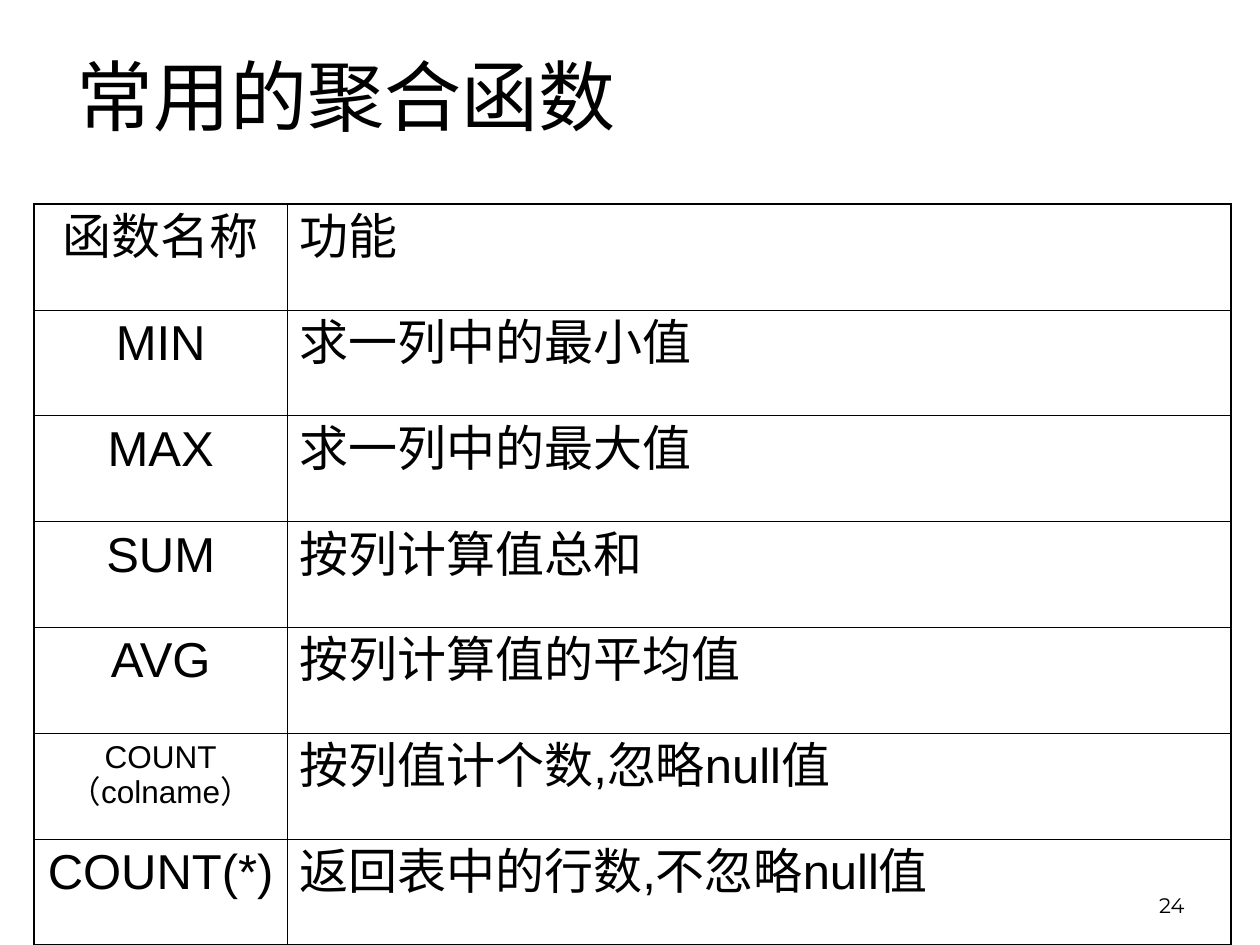
from lxml import etree
from pptx import Presentation
from pptx.dml.color import RGBColor
from pptx.enum import text
from pptx.oxml import ns
from pptx.util import Inches, Pt

BLACK = RGBColor(0x00, 0x00, 0x00)
WHITE = RGBColor(0xFF, 0xFF, 0xFF)
OUTER, INNER = 1.08, 0.45  # border widths in points

FUNCTIONS = [
    ("函数名称", "功能"),
    ("MIN", "求一列中的最小值"),
    ("MAX", "求一列中的最大值"),
    ("SUM", "按列计算值总和"),
    ("AVG", "按列计算值的平均值"),
    ("COUNT（colname）", "按列值计个数,忽略null值"),
    ("COUNT(*)", "返回表中的行数,不忽略null值"),
]


def write(frame, words, size=28, font="Arial", align=text.PP_ALIGN.LEFT, before=0):
    paragraph = frame.paragraphs[0]
    paragraph.alignment = align
    paragraph.space_before = Pt(before)
    run = paragraph.add_run()
    run.text = words
    run.font.size = Pt(size)
    run.font.name = font
    run.font.color.rgb = BLACK
    # East Asian glyphs use the same typeface
    east_asian = etree.SubElement(run.font._element, ns.qn("a:ea"))
    east_asian.set("typeface", font)


def set_borders(cell, **widths):
    properties = cell._tc.get_or_add_tcPr()
    for position, side in enumerate(("L", "R", "T", "B")):
        line = etree.Element(ns.qn(f"a:ln{side}"), w=str(Pt(widths[side])))
        fill = etree.SubElement(line, ns.qn("a:solidFill"))
        etree.SubElement(fill, ns.qn("a:srgbClr"), val=str(BLACK))
        properties.insert(position, line)


def place_title(slide, box, words):
    title = slide.shapes.title
    title.left, title.top, title.width, title.height = map(Inches, box)
    title.text_frame.vertical_anchor = text.MSO_ANCHOR.MIDDLE
    write(title.text_frame, words, size=44)


def place_page_number(slide, box, number):
    page = slide.shapes.add_textbox(*map(Inches, box)).text_frame
    page.word_wrap = True
    page.vertical_anchor = text.MSO_ANCHOR.BOTTOM
    write(page, number, size=12, font="Montserrat", align=text.PP_ALIGN.RIGHT)


def place_functions(slide, box, rows, name_width):
    last = len(rows) - 1
    table = slide.shapes.add_table(len(rows), 2, *map(Inches, box)).table
    table.first_row = table.horz_banding = False
    table.columns[0].width = Inches(name_width)
    table.columns[1].width = Inches(box[2] - name_width)
    for r, row in enumerate(rows):
        table.rows[r].height = Inches(box[3] / len(rows))
        for c, words in enumerate(row):
            cell = table.cell(r, c)
            cell.fill.background()
            cell.margin_left = cell.margin_right = Inches(0.1)
            cell.margin_top = cell.margin_bottom = Inches(0.05)
            set_borders(cell,
                        L=OUTER if c == 0 else INNER,
                        R=OUTER if c == 1 else INNER,
                        T=OUTER if r == 0 else INNER,
                        B=OUTER if r == last else INNER)
            # The long function name is set smaller to fit its column
            size = 18 if "colname" in words else 28
            write(cell.text_frame, words, size=size, before=size / 4,
                  align=text.PP_ALIGN.LEFT if c else text.PP_ALIGN.CENTER)


deck = Presentation()
deck.slide_width, deck.slide_height = Inches(10), Inches(7.5)
functions_slide = deck.slides.add_slide(deck.slide_layouts[5])
functions_slide.background.fill.solid()
functions_slide.background.fill.fore_color.rgb = WHITE

place_page_number(functions_slide, (7.17, 6.83, 2.33, 0.5), "24")
place_title(functions_slide, (0.51, 0, 9, 1.5), "常用的聚合函数")
place_functions(functions_slide, (0.27, 1.62, 9.5, 5.88), FUNCTIONS, 2.01)

deck.save("out.pptx")
